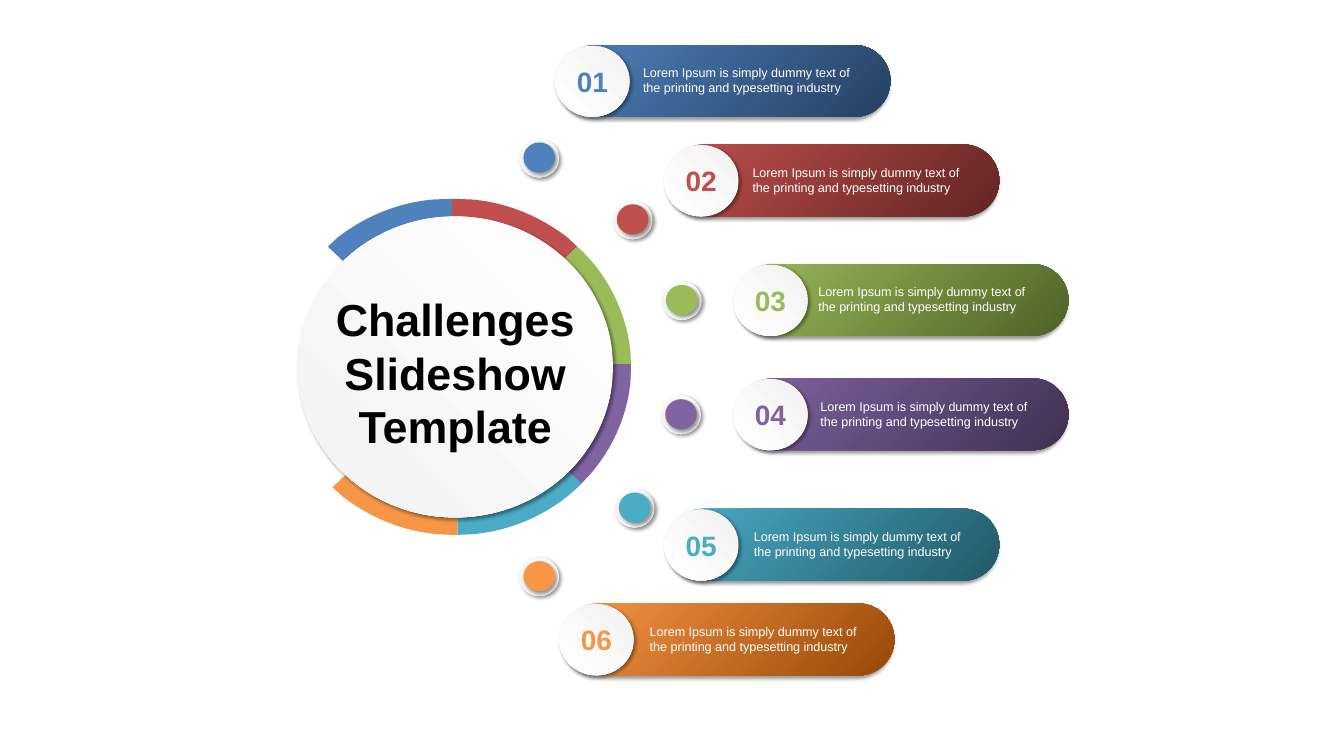
from pptx import Presentation
from pptx import util as u
from pptx.dml.color import RGBColor
from pptx.enum import shapes, text
from pptx.oxml import parse_xml
from pptx.oxml.ns import qn

MAIN = "http://schemas.openxmlformats.org/drawingml/2006/main"


def color(value):
    return RGBColor.from_string(value)


def add_shaded(kind, left, top, width, height, colors, angle, shadow_angle):
    shape = slide.shapes.add_shape(
        kind, u.Inches(left), u.Inches(top), u.Inches(width), u.Inches(height))
    if len(colors) == 1:
        shape.fill.solid()
        shape.fill.fore_color.rgb = color(colors[0])
    else:
        shape.fill.gradient()
        shape.fill.gradient_angle = 360 - angle
        for stop, value in zip(shape.fill.gradient_stops, colors):
            stop.color.rgb = color(value)
    shape.line.fill.background()
    shape.shadow.inherit = False
    effects = shape.element.spPr.find(qn("a:effectLst"))
    effects.append(parse_xml(
        f'<a:outerShdw xmlns:a="{MAIN}" blurRad="{u.Pt(4)}" dist="{u.Pt(3)}" '
        f'dir="{shadow_angle * 60000}" algn="tl" rotWithShape="0">'
        '<a:srgbClr val="000000"><a:alpha val="40000"/></a:srgbClr></a:outerShdw>'))
    return shape


deck = Presentation()
deck.slide_width = u.Inches(20)
deck.slide_height = u.Inches(11.25)
slide = deck.slides.add_slide(deck.slide_layouts[5])
OVAL = shapes.MSO_SHAPE.OVAL
PILL = shapes.MSO_SHAPE.ROUNDED_RECTANGLE

red_sector = [(6.77, 2.96), (6.81, 2.96), (7.04, 2.97),
              (7.57, 3.02, 8.05, 3.23, 8.44, 3.53), (8.59, 3.67),
              (6.81, 5.37), (6.77, 5.41), (6.73, 5.37), (6.73, 2.96)]
blue_sector = [tuple(value if i % 2 else 13.47 - value for i, value in enumerate(step))
               for step in red_sector]
orange_sector = [tuple(10.92 - value if i % 2 else 13.54 - value for i, value in enumerate(step))
                 for step in red_sector]
green_sector = [(8.59, 3.67), (8.65, 3.72), (8.79, 3.87),
                (9.11, 4.24, 9.32, 4.7, 9.38, 5.21), (9.39, 5.42),
                (6.81, 5.42), (6.81, 5.37)]
purple_sector = [(6.87, 5.42), (9.39, 5.42), (9.39, 5.5), (9.38, 5.72),
                 (9.32, 6.22, 9.11, 6.68, 8.79, 7.05), (8.65, 7.2),
                 (6.87, 5.5), (6.83, 5.46)]
teal_sector = [(6.81, 5.5), (6.87, 5.5), (8.65, 7.2), (8.59, 7.26), (8.44, 7.39),
               (8.05, 7.7, 7.57, 7.9, 7.04, 7.95), (6.81, 7.96)]

sectors = [
    (orange_sector, "F79646"), (blue_sector, "4F81BD"), (red_sector, "C0504D"),
    (green_sector, "9BBB59"), (purple_sector, "8064A2"), (teal_sector, "4BACC6"),
]
for steps, fill in sectors:
    points = [steps[0]]
    for step in steps[1:]:
        if len(step) == 2:
            points.append(step)
            continue
        x0, y0 = points[-1]
        x1, y1, x2, y2, x3, y3 = step
        for t in (i / 12 for i in range(1, 13)):
            weights = ((1 - t) ** 3, 3 * t * (1 - t) ** 2, 3 * t ** 2 * (1 - t), t ** 3)
            points.append((sum(w * x for w, x in zip(weights, (x0, x1, x2, x3))),
                           sum(w * y for w, y in zip(weights, (y0, y1, y2, y3)))))
    outline = [(u.Inches(x), u.Inches(y)) for x, y in points]
    builder = slide.shapes.build_freeform(*outline[0])
    builder.add_line_segments(outline[1:], close=True)
    sector = builder.convert_to_shape()
    sector.fill.solid()
    sector.fill.fore_color.rgb = color(fill)
    sector.line.fill.background()
    sector.shadow.inherit = False

add_shaded(OVAL, 4.43, 3.22, 4.69, 4.48, ["FFFFFF", "F2F2F2"], 135, 45)

items = [
    ("4F81BD", "254061", 8.32, 0.67, 7.73, 2.07, 9.47),
    ("C0504D", "632523", 9.94, 2.15, 9.12, 2.99, 11.1),
    ("9BBB59", "4F6228", 10.97, 3.93, 9.85, 4.19, 12.08),
    ("8064A2", "403152", 10.97, 5.63, 9.84, 5.89, 12.11),
    ("4BACC6", "215968", 9.94, 7.57, 9.15, 7.28, 11.12),
    ("F79646", "984807", 8.38, 8.98, 7.73, 8.3, 9.57),
]
for number, (light, dark, left, top, dot_left, dot_top, text_left) in enumerate(items, 1):
    add_shaded(OVAL, dot_left, dot_top, 0.59, 0.57, ["FFFFFF", "F2F2F2"], 135, 45)
    add_shaded(OVAL, dot_left + 0.06, dot_top + 0.05, 0.47, 0.45, [light], 0, 45)
    pill = add_shaded(PILL, left, top, 4.93, 1.07, [light, dark], 45, 120)
    pill.adjustments[0] = 0.5
    add_shaded(OVAL, left - 0.06, top + 0.01, 1.11, 1.06, ["F2F2F2", "FFFFFF"], 135, 45)

    labels = [
        (f"{number:02}", left + 0.16, top + 0.24, 0.67, 0.61, 30, light, True),
        ("Lorem Ipsum is simply dummy text of the printing and typesetting industry",
         text_left, top + 0.25, 3.49, 0.56, 13.5, "FFFFFF", False),
    ]
    for words, x, y, width, height, size, ink, is_number in labels:
        box = slide.shapes.add_textbox(
            u.Inches(x), u.Inches(y), u.Inches(width), u.Inches(height))
        box.text_frame.word_wrap = not is_number
        box.text_frame.auto_size = text.MSO_AUTO_SIZE.SHAPE_TO_FIT_TEXT
        para = box.text_frame.paragraphs[0]
        para.text = words
        para.alignment = text.PP_ALIGN.CENTER if is_number else text.PP_ALIGN.LEFT
        para.font.name = "Arial"
        para.font.size = u.Pt(size)
        para.font.bold = is_number
        para.font.color.rgb = color(ink)

title = slide.shapes.title
title.left, title.top = u.Inches(4.81), u.Inches(4.29)
title.width, title.height = u.Inches(3.93), u.Inches(2.52)
title.text_frame.word_wrap = True
title.text_frame.auto_size = text.MSO_AUTO_SIZE.NONE
title.text_frame.vertical_anchor = text.MSO_ANCHOR.TOP
para = title.text_frame.paragraphs[0]
para.text = "Challenges Slideshow Template"
para.alignment = text.PP_ALIGN.CENTER
para.font.name = "Arial"
para.font.size = u.Pt(48)
para.font.bold = True
para.font.color.rgb = color("000000")
title.element.getparent().append(title.element)

deck.save("out.pptx")
